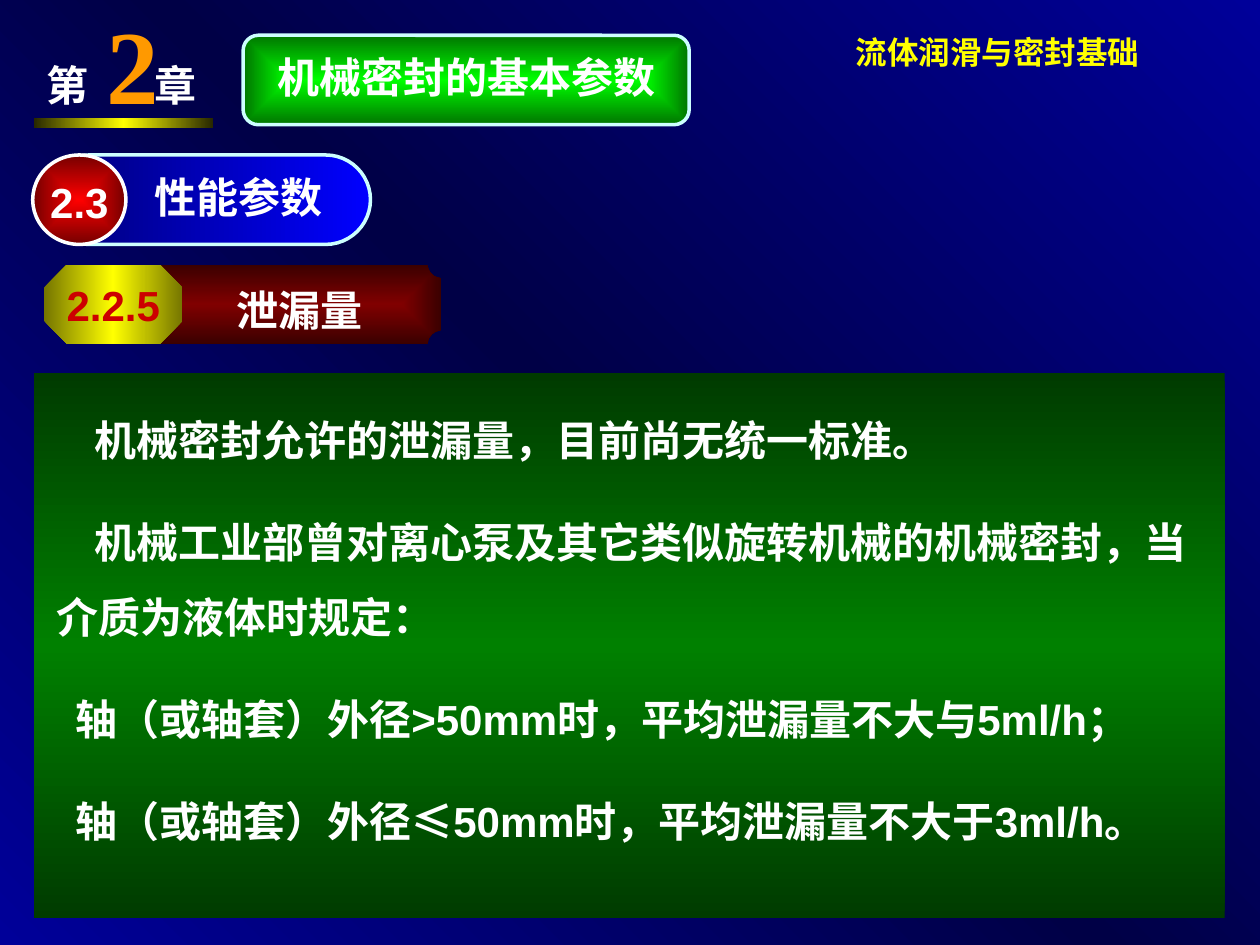
from dataclasses import dataclass, field
from typing import Any, Optional

import lxml.etree
import pptx
import pptx.dml.color
import pptx.enum.shapes
import pptx.enum.text
import pptx.oxml
import pptx.oxml.ns
import pptx.util

Inches = pptx.util.Inches
Pt = pptx.util.Pt
RGB = pptx.dml.color.RGBColor
Kind = pptx.enum.shapes.MSO_SHAPE
Align = pptx.enum.text.PP_ALIGN
Anchor = pptx.enum.text.MSO_ANCHOR
qn = pptx.oxml.ns.qn

WHITE = RGB(0xFF, 0xFF, 0xFF)
YELLOW = RGB(0xFF, 0xFF, 0x00)
ORANGE = RGB(0xFF, 0x99, 0x00)
RED = RGB(0xCC, 0x00, 0x00)
ICE = RGB(0xCC, 0xFF, 0xFF)
NAVY = RGB(0x00, 0x00, 0x99)
NIGHT = RGB(0x00, 0x00, 0x46)
BLUE = RGB(0x00, 0x00, 0xFF)
INK = RGB(0x00, 0x00, 0x75)
SCARLET = RGB(0xFF, 0x00, 0x00)
WINE = RGB(0x75, 0x00, 0x00)
MAROON = RGB(0x80, 0x00, 0x00)
UMBER = RGB(0x3B, 0x00, 0x00)
OLIVE = RGB(0x75, 0x75, 0x00)
BRONZE = RGB(0x28, 0x28, 0x00)
GREEN = RGB(0x00, 0x80, 0x00)
PINE = RGB(0x00, 0x3B, 0x00)
LIME = RGB(0x00, 0xFF, 0x00)
LEAF = RGB(0x00, 0x75, 0x00)

SANS = "Arial"
SERIF = "Times New Roman"
HAN = "Noto Sans CJK SC"


@dataclass
class Blend:
    tones: list[RGB]
    angle: Optional[int] = None


@dataclass
class Panel:
    kind: Any
    box: tuple[float, float, float, float]
    blend: Blend
    edge: Optional[RGB] = None
    bend: Optional[float] = None


@dataclass
class Line:
    runs: list[tuple[str, str]]
    indent: float = 0
    tab: Optional[float] = None
    form: dict[str, Any] = field(default_factory=dict)


@dataclass
class Label:
    lines: list[Line]
    box: tuple[float, float, float, float] = (0, 0, 0, 0)
    size: float = 24
    color: RGB = WHITE
    frame: dict[str, Any] = field(default_factory=dict)


def apply(target: Any, values: dict[str, Any]) -> None:
    for name, value in values.items():
        setattr(target, name, value)


def paint(fill: Any, holder: Any, blend: Blend) -> None:
    fill.solid()
    last = len(blend.tones) - 1
    stops = "".join(
        f'<a:gs pos="{100000 * i // last}"><a:srgbClr val="{tone}"/></a:gs>'
        for i, tone in enumerate(blend.tones)
    )
    if blend.angle is None:
        way = ('<a:path path="rect"><a:fillToRect l="50000" t="50000" '
               'r="50000" b="50000"/></a:path>')
    else:
        way = f'<a:lin ang="{blend.angle * 60000}" scaled="0"/>'
    grad = pptx.oxml.parse_xml(
        f'<a:gradFill {pptx.oxml.ns.nsdecls("a")} rotWithShape="1">'
        f'<a:gsLst>{stops}</a:gsLst>{way}</a:gradFill>'
    )
    holder.replace(holder.find(qn("a:solidFill")), grad)


def write(shape: Any, label: Label) -> None:
    frame = shape.text_frame
    apply(frame, {"word_wrap": True, **label.frame})
    for i, line in enumerate(label.lines):
        para = frame.add_paragraph() if i else frame.paragraphs[0]
        apply(para, line.form)
        if i:
            para.space_before = Pt(15)
        props = para._p.get_or_add_pPr()
        if line.indent:
            props.set("indent", str(Inches(line.indent)))
        if line.tab:
            tabs = lxml.etree.SubElement(props, qn("a:tabLst"))
            lxml.etree.SubElement(tabs, qn("a:tab"), pos=str(Inches(line.tab)), algn="l")
        for text, face in line.runs:
            run = para.add_run()
            run.text = text
            apply(run.font, {"name": face, "size": Pt(label.size), "bold": True})
            run.font.color.rgb = label.color
            east = lxml.etree.SubElement(run.font._element, qn("a:ea"))
            east.set("typeface", HAN)


def draw(host: Any, panel: Panel) -> Any:
    shape = host.add_shape(panel.kind, *map(Inches, panel.box))
    shape.shadow.inherit = False
    paint(shape.fill, shape.element.spPr, panel.blend)
    if panel.bend is not None:
        shape.adjustments[0] = panel.bend
    if panel.edge is None:
        shape.line.fill.background()
    else:
        shape.line.color.rgb = panel.edge
        shape.line.width = Pt(2)
    return shape


def place(host: Any, label: Label) -> None:
    write(host.add_textbox(*map(Inches, label.box)), label)


def main() -> None:
    deck = pptx.Presentation()
    apply(deck, {"slide_width": Inches(10), "slide_height": Inches(7.5)})
    slide = deck.slides.add_slide(deck.slide_layouts[6])
    back = slide.background.fill
    back.solid()
    paint(back, slide.element.find(".//" + qn("p:bgPr")), Blend([NAVY, NIGHT, NAVY], 135))
    shapes = slide.shapes
    mid = {"alignment": Align.CENTER}
    core = {"vertical_anchor": Anchor.MIDDLE}

    draw(shapes, Panel(Kind.ROUNDED_RECTANGLE, (0.35, 1.23, 2.59, 0.71),
                       Blend([BLUE, INK], 180), ICE, 0.5))
    draw(shapes, Panel(Kind.OVAL, (0.26, 1.23, 0.74, 0.71), Blend([SCARLET, WINE]), WHITE))
    place(shapes, Label([Line([("2.3", SANS)])], (0.3, 1.35, 0.71, 0.5)))
    place(shapes, Label([Line([("性能参数", SANS)])], (1.13, 1.31, 1.58, 0.5)))

    plaque = draw(shapes, Panel(Kind.PLAQUE, (1.06, 2.1, 2.44, 0.63), Blend([MAROON, UMBER])))
    write(plaque, Label([Line([("泄漏量", SANS)], form={**mid, "line_spacing": 1.2})],
                        frame={**core, "margin_left": Inches(0.3)}))
    badge = draw(shapes, Panel(Kind.OCTAGON, (0.35, 2.1, 1.1, 0.63),
                               Blend([OLIVE, YELLOW, OLIVE], 180), bend=0.29))
    write(badge, Label([Line([("2.2.5", SANS)], form=mid)], color=RED,
                       frame={**core, "word_wrap": False}))

    draw(shapes, Panel(Kind.RECTANGLE, (0.27, 2.96, 9.45, 4.33), Blend([PINE, GREEN, PINE], 90)))
    body = [
        (0.3, [("机械密封允许的泄漏量，目前尚无统一标准。", SANS)]),
        (0.3, [("机械工业部曾对离心泵及其它类似旋转机械的机械密封，当介质为液体时规定：", SANS)]),
        (0.15, [("轴（或轴套）外径>50mm时，平均泄漏量不大与5ml/h；", SANS)]),
        (0.15, [("轴（或轴套）外径", SANS), ("≤", HAN), ("50mm时，平均泄漏量不大于3ml/h。", SANS)]),
    ]
    lines = [Line(runs, indent, form={"line_spacing": 1.5}) for indent, runs in body]
    place(shapes, Label(lines, (0.35, 3.04, 9.29, 3.73)))
    place(shapes, Label([Line([("流体润滑与密封基础", HAN)], form=mid)],
                        (6.34, 0.21, 3.15, 0.71), 18, YELLOW))

    mark = shapes.add_group_shape().shapes
    place(mark, Label([Line([("第\t章", SERIF)], tab=0.86)], (0.27, 0.42, 1.75, 0.5)))
    place(mark, Label([Line([("2", SERIF)])], (0.75, 0, 0.92, 1), 60, ORANGE,
                      {"margin_top": 0, "margin_bottom": 0}))
    draw(mark, Panel(Kind.RECTANGLE, (0.27, 0.94, 1.42, 0.08),
                     Blend([BRONZE, YELLOW, BRONZE], 180)))

    title = shapes.add_group_shape().shapes
    draw(title, Panel(Kind.ROUNDED_RECTANGLE, (1.93, 0.28, 3.54, 0.71),
                      Blend([LIME, LEAF]), ICE, 0.17))
    place(title, Label([Line([("机械密封的基本参数", SANS)], form=mid)], (2.01, 0.36, 3.39, 0.5)))

    deck.save("out.pptx")


if __name__ == "__main__":
    main()
